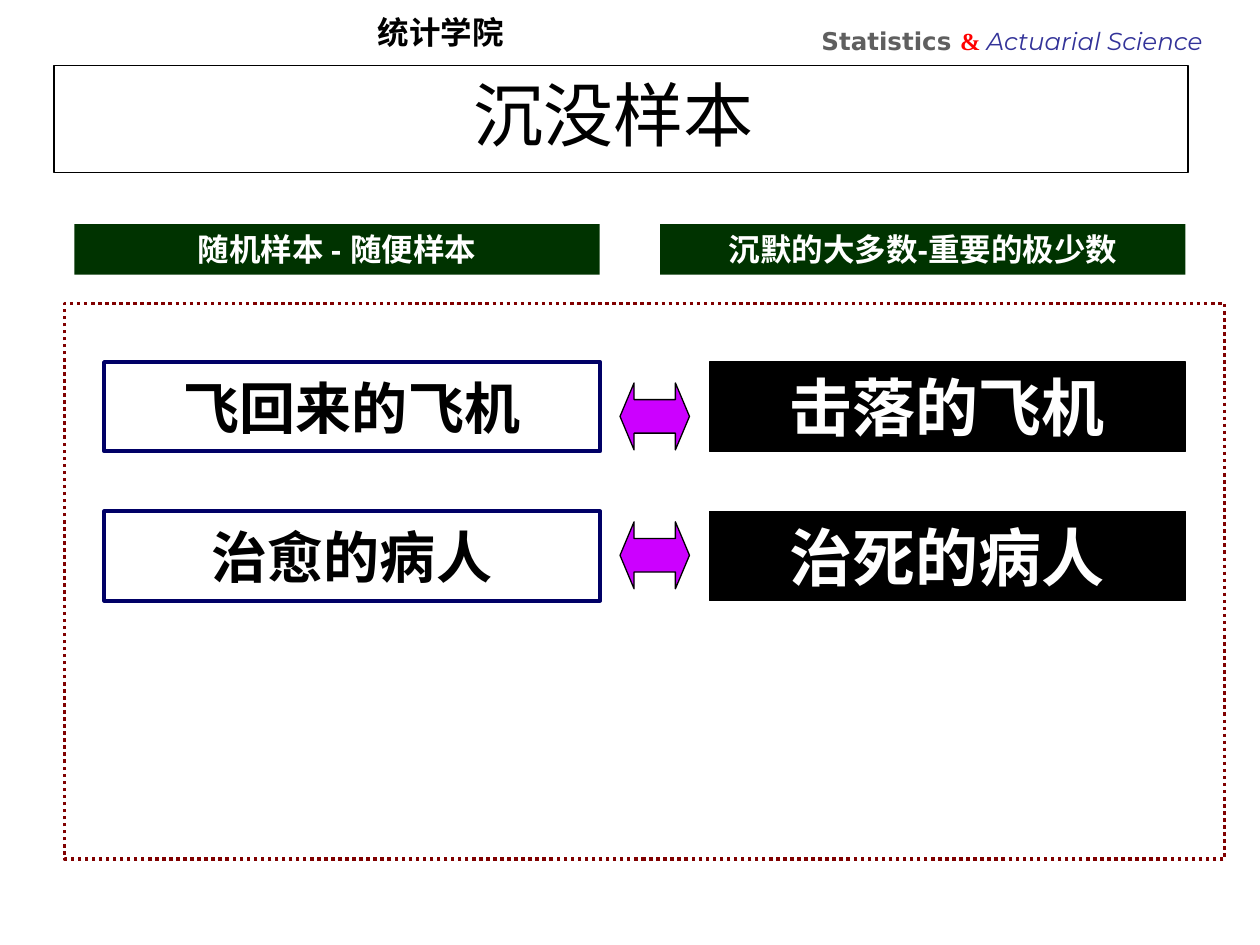
from pptx import Presentation
from pptx.dml.color import RGBColor
from pptx.enum import dml, shapes, text
from pptx.util import Cm, Pt

COLORS = {
    "white": "FFFFFF", "black": "000000", "green": "003300", "navy": "000066",
    "maroon": "800000", "purple": "CC00FF", "gray": "5F5F5F", "red": "FF0000",
    "blue": "333399",
}
TITLE = "沉没样本 "
SCHOOL = "统计学院"
DEPARTMENT = [  # text, font, colour, bold, italic
    ("Statistics ", "DejaVu Sans", "gray", True, False),
    ("& ", "Times New Roman", "red", True, False),
    ("Actuarial Science", "Montserrat", "blue", False, True),
]
HEADINGS = [(1.5, "随机样本 - 随便样本"), (13.31, "沉默的大多数-重要的极少数")]
PAIRS = [  # row top, arrow top, seen sample, lost sample
    (7.3, 7.72, "飞回来的飞机", "击落的飞机"),
    (10.31, 10.52, "治愈的病人", "治死的病人"),
]
ROW_HEIGHT = 1.8
RECT = shapes.MSO_SHAPE.RECTANGLE
MIDDLE, TOP = text.MSO_ANCHOR.MIDDLE, text.MSO_ANCHOR.TOP


def rgb(name):
    return RGBColor.from_string(COLORS[name])


def paint(sp, fill=None, line=None, width=0.75):
    if fill:
        sp.fill.solid()
        sp.fill.fore_color.rgb = rgb(fill)
    else:
        sp.fill.background()
    if line:
        sp.line.color.rgb = rgb(line)
        sp.line.width = Pt(width)
    else:
        sp.line.fill.background()


def add_shape(s, kind, box, **look):
    sp = s.shapes.add_shape(kind, *map(Cm, box))
    sp.shadow.inherit = False
    paint(sp, **look)
    return sp


def write(sp, words, size, color, font="Arial", bold=True, anchor=MIDDLE, wrap=False):
    tf = sp.text_frame
    tf.word_wrap = wrap
    tf.auto_size = text.MSO_AUTO_SIZE.NONE
    tf.vertical_anchor = anchor
    p = tf.paragraphs[0]
    p.text = words
    p.alignment = text.PP_ALIGN.CENTER
    p.font.name, p.font.size, p.font.bold = font, Pt(size), bold
    p.font.color.rgb = rgb(color)


def add_header(s):
    tf = s.shapes.add_textbox(Cm(16.31), Cm(0.41), Cm(8.59), Cm(0.86)).text_frame
    tf.word_wrap = True
    p = tf.paragraphs[0]
    p.font.size = Pt(14)
    for words, font, color, bold, italic in DEPARTMENT:
        r = p.add_run()
        r.text = words
        r.font.name, r.font.bold, r.font.italic = font, bold, italic
        r.font.color.rgb = rgb(color)

    school = s.shapes.add_textbox(Cm(7.49), Cm(0.18), Cm(2.79), Cm(0.91))
    write(school, SCHOOL, 18, "black")

    title = s.shapes.title
    title.left, title.top, title.width, title.height = map(Cm, (1.09, 1.32, 22.86, 2.16))
    paint(title, "white", "black")
    write(title, TITLE, 40, "black", "Times New Roman", False, TOP, True)


def add_body(s):
    frame = add_shape(s, RECT, (1.3, 6.12, 23.39, 11.2), line="maroon", width=2)
    frame.line.dash_style = dml.MSO_LINE.ROUND_DOT

    for left, words in HEADINGS:
        sp = add_shape(s, RECT, (left, 4.52, 10.59, 1.02), fill="green")
        write(sp, words, 18, "white", anchor=TOP, wrap=True)

    for top, arrow_top, seen, lost in PAIRS:
        sp = add_shape(s, RECT, (2.1, top, 10, ROW_HEIGHT),
                       fill="white", line="navy", width=2.25)
        write(sp, seen, 32, "black")
        sp = add_shape(s, RECT, (14.3, top, 9.6, ROW_HEIGHT), fill="black", line="black")
        write(sp, lost, 36, "white")
        arrow = add_shape(s, shapes.MSO_SHAPE.LEFT_RIGHT_ARROW,
                          (12.5, arrow_top, 1.4, 1.35), fill="purple", line="black")
        arrow.adjustments[0], arrow.adjustments[1] = 0.5, 0.21


def main():
    prs = Presentation()
    prs.slide_width, prs.slide_height = Cm(25.4), Cm(19.05)
    s = prs.slides.add_slide(prs.slide_layouts[5])
    add_header(s)
    add_body(s)
    prs.save("out.pptx")


if __name__ == "__main__":
    main()
